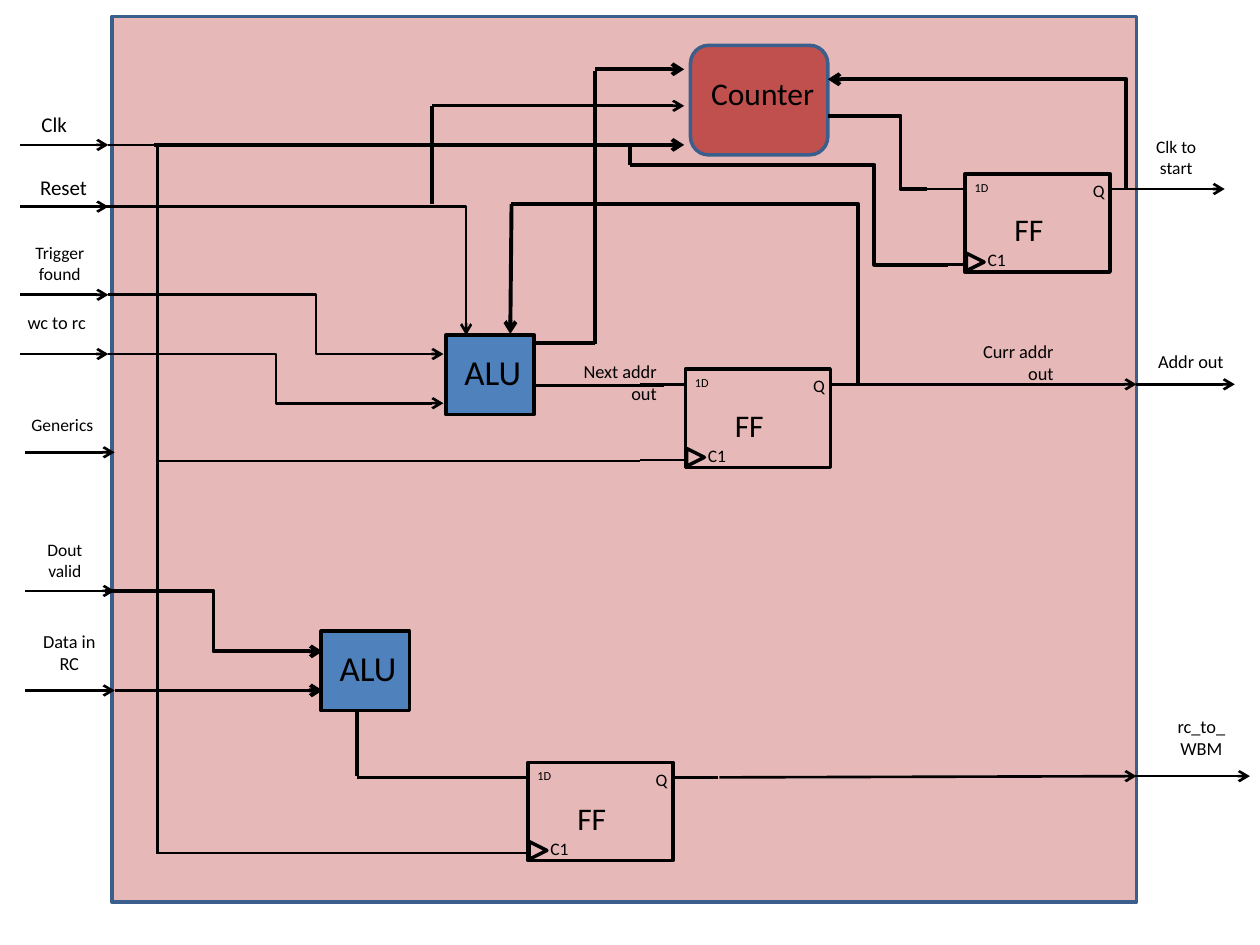
"""Build a block diagram slide of a read controller with counter, ALUs and flip-flops."""
import pptx
import pptx.util
import pptx.dml.color
import pptx.enum.shapes
import pptx.enum.text
import pptx.oxml.ns
import lxml.etree

Inches = pptx.util.Inches
Pt = pptx.util.Pt
RGBColor = pptx.dml.color.RGBColor
SHAPE = pptx.enum.shapes.MSO_SHAPE
LINK = pptx.enum.shapes.MSO_CONNECTOR
ALIGN = pptx.enum.text.PP_ALIGN
qn = pptx.oxml.ns.qn

BLACK = RGBColor(0x00, 0x00, 0x00)
PINK = RGBColor(0xE6, 0xB9, 0xB8)
BLUE = RGBColor(0x4F, 0x81, 0xBD)
NAVY = RGBColor(0x3A, 0x5F, 0x8C)
RED = RGBColor(0xC0, 0x50, 0x4D)
THIN, THICK = 1.5, 2.25

deck = pptx.Presentation()
deck.slide_width, deck.slide_height = Inches(10), Inches(7.5)
slide = deck.slides.add_slide(deck.slide_layouts[6])


def write(words, left, top, width, height, size=10, align=ALIGN.CENTER):
    box = slide.shapes.add_textbox(Inches(left), Inches(top), Inches(width), Inches(height))
    frame = box.text_frame
    frame.word_wrap = True
    frame.auto_size = pptx.enum.text.MSO_AUTO_SIZE.SHAPE_TO_FIT_TEXT
    para = frame.paragraphs[0]
    para.text = words
    para.alignment = align
    para.font.name = "Calibri"
    para.font.size = Pt(size)
    para.font.color.rgb = BLACK


def wire(x1, y1, x2, y2, weight=THIN, arrow=False, bend=None, corner=False):
    kind = LINK.STRAIGHT if bend is None and not corner else LINK.ELBOW
    link = slide.shapes.add_connector(kind, Inches(x1), Inches(y1), Inches(x2), Inches(y2))
    link.line.color.rgb = BLACK
    link.line.width = Pt(weight)
    props = link.element.spPr
    geom = props.find(qn("a:prstGeom"))
    if corner:
        geom.set("prst", "bentConnector2")
    if bend is not None:
        guide = lxml.etree.SubElement(geom.find(qn("a:avLst")), qn("a:gd"))
        guide.set("name", "adj1")
        guide.set("fmla", f"val {round(bend * 100000)}")
    if arrow:
        lxml.etree.SubElement(props.find(qn("a:ln")), qn("a:tailEnd")).set("type", "arrow")
    lxml.etree.SubElement(props, qn("a:effectLst"))


flops = [(5.44, 2.93), (4.19, 6.05), (7.66, 1.38)]
alus = [(3.54, 2.66), (2.55, 5.01)]

blocks = [(SHAPE.RECTANGLE, 0.89, 0.13, 8.13, 7.03, PINK, NAVY, 0)]
blocks += [(SHAPE.RECTANGLE, x, y, 0.7, 0.63, BLUE, BLACK, 0) for x, y in alus]
blocks += [(SHAPE.ROUNDED_RECTANGLE, 5.48, 0.36, 1.09, 0.87, RED, NAVY, 0)]
for x, y in flops:
    blocks += [
        (SHAPE.RECTANGLE, x, y, 1.15, 0.78, None, BLACK, 0),
        (SHAPE.ISOSCELES_TRIANGLE, x + 0.01, y + 0.63, 0.14, 0.14, None, BLACK, 90),
    ]
for kind, left, top, width, height, fill, edge, turn in blocks:
    block = slide.shapes.add_shape(kind, Inches(left), Inches(top), Inches(width), Inches(height))
    block.shadow.inherit = False
    block.rotation = turn
    block.line.color.rgb = edge
    block.line.width = Pt(2)
    if fill is None:
        block.fill.background()
    else:
        block.fill.solid()
        block.fill.fore_color.rgb = fill

write("Counter", 5.39, 0.54, 1.17, 0.45, size=18, align=ALIGN.RIGHT)
for x, y in alus:
    write("ALU", x - 0.02, y + 0.07, 0.78, 0.44, size=20)

for x, y in flops:
    for start, drop in [(-0.36, 0.72), (-0.36, 0.12), (1.15, 0.12)]:
        wire(x + start, y + drop, x + start + 0.36, y + drop)
    write("FF", x + 0.26, y + 0.24, 0.46, 0.4, size=18, align=ALIGN.RIGHT)
    write("C1", x + 0.03, y + 0.55, 0.44, 0.27)
    write("1D", x - 0.08, y, 0.42, 0.22, size=7)
    write("Q", x + 0.91, y, 0.3, 0.21)

labels = [
    ("Clk", 0.16, 0.84, 0.47, 0.3, 12, ALIGN.RIGHT),
    ("Reset", 0.16, 1.34, 0.63, 0.3, 12, ALIGN.RIGHT),
    ("Trigger found", 0.16, 1.87, 0.63, 0.44, 10, ALIGN.CENTER),
    ("wc to rc", 0.08, 2.42, 0.7, 0.28, 10.5, ALIGN.RIGHT),
    ("Generics", 0.08, 3.24, 0.83, 0.27, 10, ALIGN.CENTER),
    ("Dout valid", 0.2, 4.23, 0.63, 0.44, 10, ALIGN.CENTER),
    ("Data in RC", 0.16, 4.95, 0.78, 0.45, 10.5, ALIGN.CENTER),
    ("Clk to start", 9.02, 1.03, 0.63, 0.44, 10, ALIGN.CENTER),
    ("Addr out", 8.87, 2.73, 0.94, 0.28, 10.5, ALIGN.RIGHT),
    ("rc_to_WBM", 9.22, 5.63, 0.63, 0.45, 10.5, ALIGN.CENTER),
    ("Curr addr out", 7.52, 2.65, 0.94, 0.45, 10.5, ALIGN.RIGHT),
    ("Next addr out", 4.37, 2.81, 0.94, 0.45, 10.5, ALIGN.RIGHT),
]
for words, left, top, width, height, size, align in labels:
    write(words, left, top, width, height, size=size, align=align)

for y in (1.15, 1.64, 2.34, 2.81):
    wire(0.16, y, 0.86, y, arrow=True)
for y in (3.59, 4.69, 5.48):
    wire(0.2, y, 0.91, y, arrow=True)
for x, y, end in [(9.02, 1.5, 9.72), (9.02, 3.05, 9.8), (8.98, 6.16, 9.92)]:
    wire(x, y, end, y, arrow=True)

plain = [
    (2.83, 6.17, 4.13, 6.17, THIN),
    (5.27, 3.06, 4.25, 3.06, THIN),
    (0.86, 1.15, 1.25, 1.15, THIN),
    (1.25, 1.15, 1.25, 6.78, THIN),
    (1.25, 3.66, 5.08, 3.66, THIN),
    (1.25, 6.77, 3.85, 6.77, THIN),
    (2.83, 6.16, 2.83, 5.65, THICK),
    (4.25, 2.72, 4.72, 2.72, THICK),
    (4.72, 2.73, 4.72, 0.56, THICK),
    (3.43, 1.62, 3.43, 0.84, THICK),
    (5, 1.31, 5, 1.15, THICK),
]
for x1, y1, x2, y2, weight in plain:
    wire(x1, y1, x2, y2, weight=weight)

heads = [
    (5.71, 6.17, 9.02, 6.16, THIN),
    (6.93, 3.05, 9.02, 3.05, THIN),
    (3.43, 0.84, 5.43, 0.84, THIN),
    (0.91, 5.48, 2.56, 5.48, THICK),
    (1.22, 1.15, 5.43, 1.15, THICK),
    (4.72, 0.55, 5.43, 0.55, THICK),
    (4.06, 1.62, 4.05, 2.65, THICK),
]
for x1, y1, x2, y2, weight in heads:
    wire(x1, y1, x2, y2, weight=weight, arrow=True)

bends = [
    (0.86, 2.81, 3.52, 3.2, THIN, True, 0.5),
    (0.86, 2.34, 3.52, 2.81, THIN, True, 0.62),
    (0.83, 4.69, 2.56, 5.17, THICK, True, 0.5),
    (6.81, 3.04, 4.06, 1.62, THICK, False, 0),
    (5, 1.31, 7.52, 2.1, THICK, False, 0.77),
    (7.36, 1.5, 6.57, 0.92, THICK, False, 0.27),
    (8.94, 1.5, 6.57, 0.63, THICK, True, 0),
]
for x1, y1, x2, y2, weight, arrow, bend in bends:
    wire(x1, y1, x2, y2, weight=weight, arrow=arrow, bend=bend)
wire(0.67, 1.64, 3.7, 2.66, arrow=True, corner=True)

deck.save("out.pptx")
